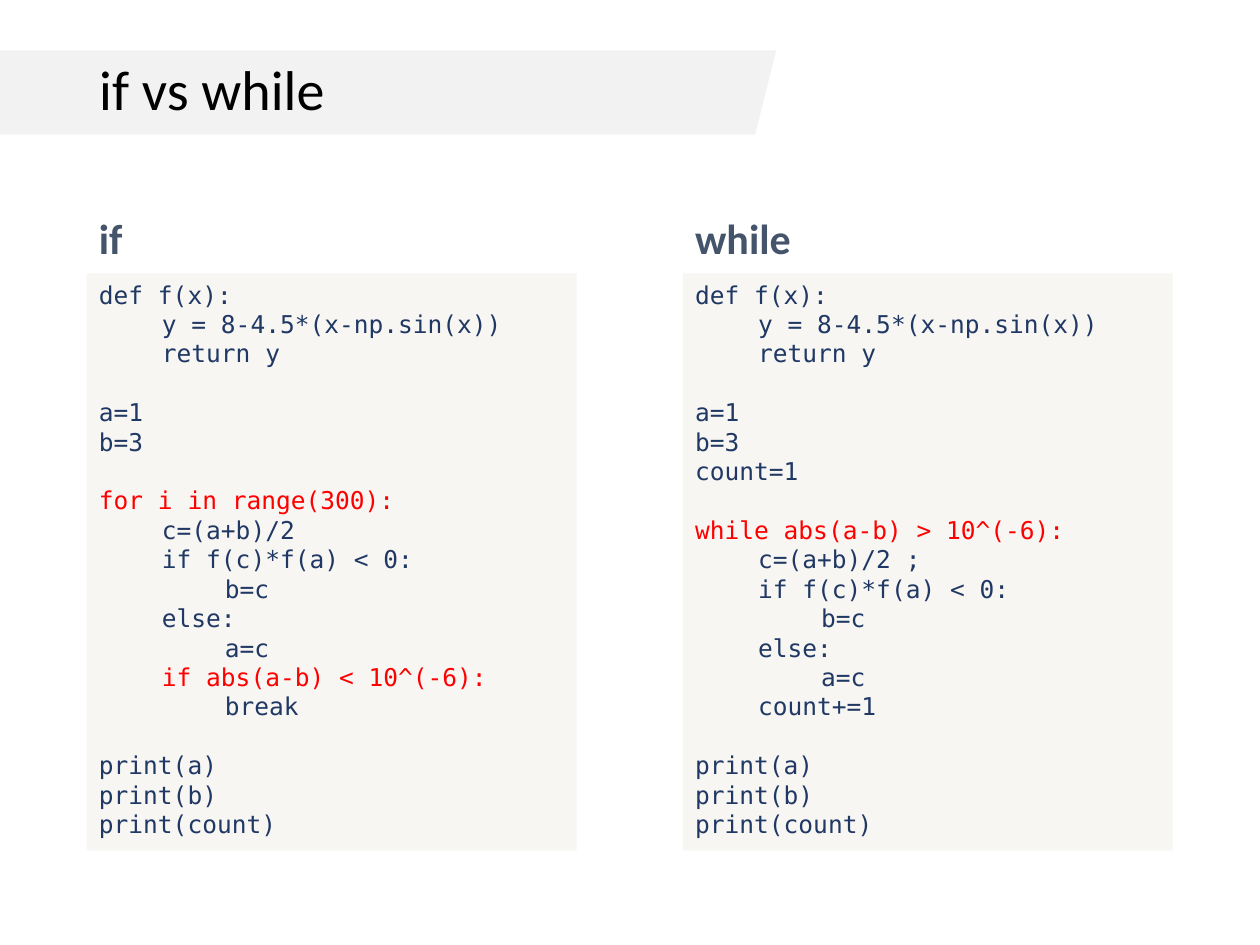
from pptx import Presentation
from pptx.dml.color import RGBColor
from pptx.enum import shapes, text
from pptx.util import Pt

BLACK = RGBColor(0x00, 0x00, 0x00)
BANNER = RGBColor(0xF2, 0xF2, 0xF2)
PANEL = RGBColor(0xF8, 0xF6, 0xF3)
HEADING = RGBColor(0x44, 0x54, 0x6A)
CODE = RGBColor(0x20, 0x38, 0x64)
HIGHLIGHT = RGBColor(0xFF, 0x00, 0x00)

IF_CODE = """
def f(x):
    y = 8-4.5*(x-np.sin(x))
    return y

a=1
b=3

for i in range(300):
    c=(a+b)/2
    if f(c)*f(a) < 0:
        b=c
    else:
        a=c
    if abs(a-b) < 10^(-6):
        break

print(a)
print(b)
print(count)
"""

WHILE_CODE = """
def f(x):
    y = 8-4.5*(x-np.sin(x))
    return y

a=1
b=3
count=1

while abs(a-b) > 10^(-6):
    c=(a+b)/2 ;
    if f(c)*f(a) < 0:
        b=c
    else:
        a=c
    count+=1

print(a)
print(b)
print(count)
"""

HIGHLIGHTED = {
    "for i in range(300):",
    "if abs(a-b) < 10^(-6):",
    "while abs(a-b) > 10^(-6):",
}


class ComparisonSlide:
    text_font = "Calibri"
    code_font = "DejaVu Sans Mono"
    code_size = 14
    line_height = 16.8
    indent_width = 4

    def __init__(self, presentation):
        self.slide = presentation.slides.add_slide(presentation.slide_layouts[5])

    def format_runs(self, paragraph, font, size, color, bold=False):
        for run in paragraph.runs:
            run.font.name = font
            run.font.size = Pt(size)
            run.font.color.rgb = color
            run.font.bold = bold

    def filled_shape(self, kind, left, top, width, height, color):
        shape = self.slide.shapes.add_shape(
            kind, Pt(left), Pt(top), Pt(width), Pt(height))
        shape.shadow.inherit = False
        shape.fill.solid()
        shape.fill.fore_color.rgb = color
        shape.line.fill.background()
        return shape

    def title(self, wording, left, top, width, height):
        title = self.slide.shapes.title
        title.left, title.top = Pt(left), Pt(top)
        title.width, title.height = Pt(width), Pt(height)
        frame = title.text_frame
        frame.text = wording
        frame.vertical_anchor = text.MSO_ANCHOR.MIDDLE
        frame.auto_size = text.MSO_AUTO_SIZE.NONE
        paragraph = frame.paragraphs[0]
        paragraph.alignment = text.PP_ALIGN.LEFT
        paragraph.line_spacing = 0.9
        self.format_runs(paragraph, self.text_font, 32, BLACK)

    def banner(self, left, top, width, height):
        shape = self.filled_shape(
            shapes.MSO_SHAPE.PARALLELOGRAM, left, top, width, height, BANNER)
        self.slide.shapes.title.element.addprevious(shape.element)

    def heading(self, wording, left, top, width, height):
        box = self.slide.shapes.add_textbox(
            Pt(left), Pt(top), Pt(width), Pt(height))
        frame = box.text_frame
        frame.text = wording
        frame.word_wrap = False
        frame.auto_size = text.MSO_AUTO_SIZE.SHAPE_TO_FIT_TEXT
        self.format_runs(frame.paragraphs[0], self.text_font, 24, HEADING, True)

    def code_panel(self, code, left, top, width, height):
        shape = self.filled_shape(
            shapes.MSO_SHAPE.RECTANGLE, left, top, width, height, PANEL)
        frame = shape.text_frame
        frame.word_wrap = True
        frame.vertical_anchor = text.MSO_ANCHOR.TOP
        frame.auto_size = text.MSO_AUTO_SIZE.SHAPE_TO_FIT_TEXT
        paragraph = frame.paragraphs[0]
        for block_number, block in enumerate(code.strip().split("\n\n")):
            for line_number, line in enumerate(block.splitlines()):
                if block_number or line_number:
                    paragraph = frame.add_paragraph()
                statement = line.lstrip()
                depth = (len(line) - len(statement)) // self.indent_width
                paragraph.text = "\t" * depth + statement
                paragraph.alignment = text.PP_ALIGN.LEFT
                if block_number and line_number == 0:
                    paragraph.space_before = Pt(self.line_height)
                color = HIGHLIGHT if statement in HIGHLIGHTED else CODE
                self.format_runs(paragraph, self.code_font, self.code_size, color)


def main():
    presentation = Presentation()
    presentation.slide_width = Pt(720)
    presentation.slide_height = Pt(540)

    comparison = ComparisonSlide(presentation)
    comparison.title("if vs while", 49.5, 28.8, 402.5, 48.2)
    comparison.banner(-13.7, 28.8, 457.2, 48.2)

    columns = [
        ("if", 49.5, 28, IF_CODE),
        ("while", 390.2, 70, WHILE_CODE),
    ]
    for heading, left, heading_width, code in columns:
        comparison.code_panel(code, left, 156.2, 280, 329.8)
        comparison.heading(heading, left, 118, heading_width, 36)

    presentation.save("out.pptx")


if __name__ == "__main__":
    main()
